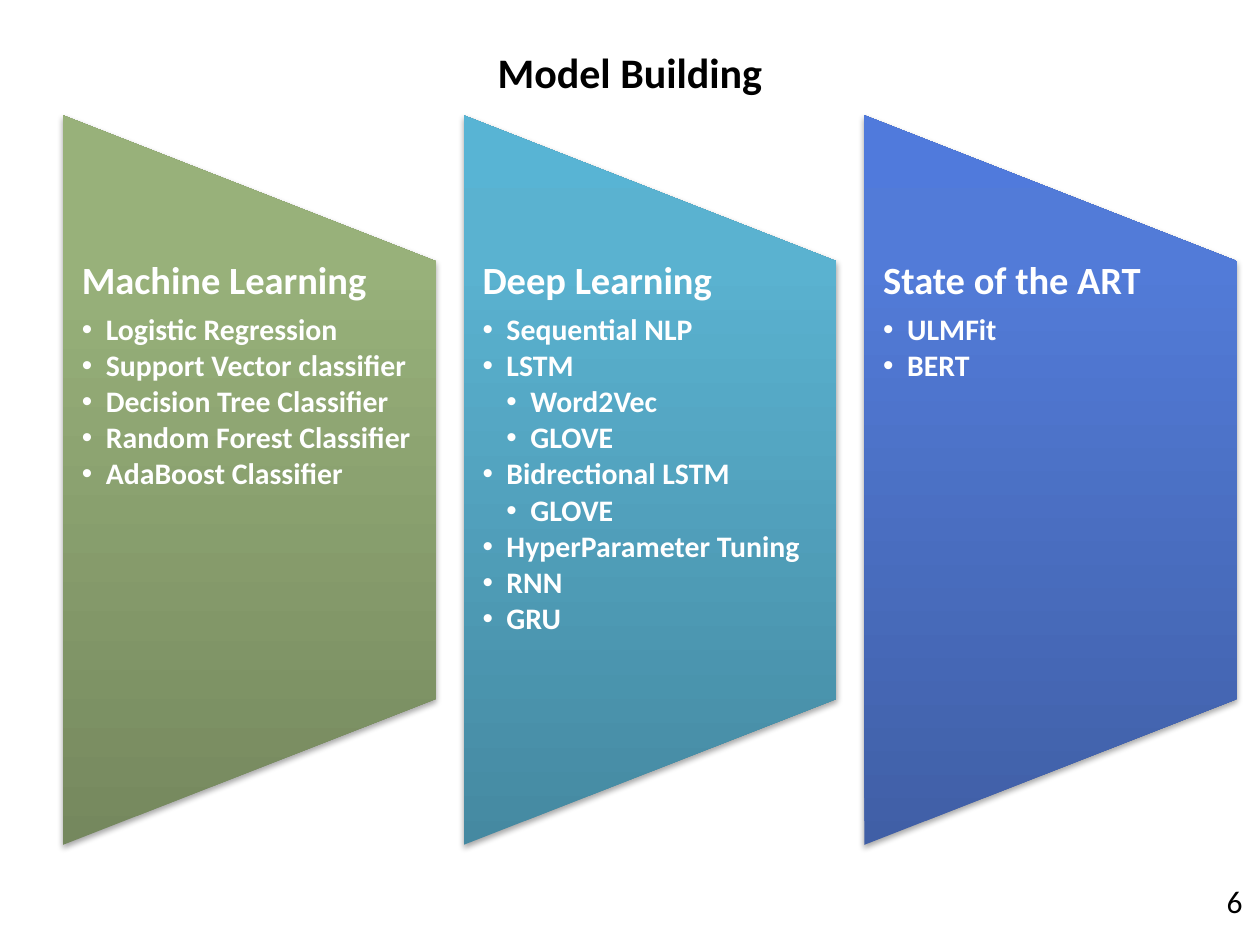
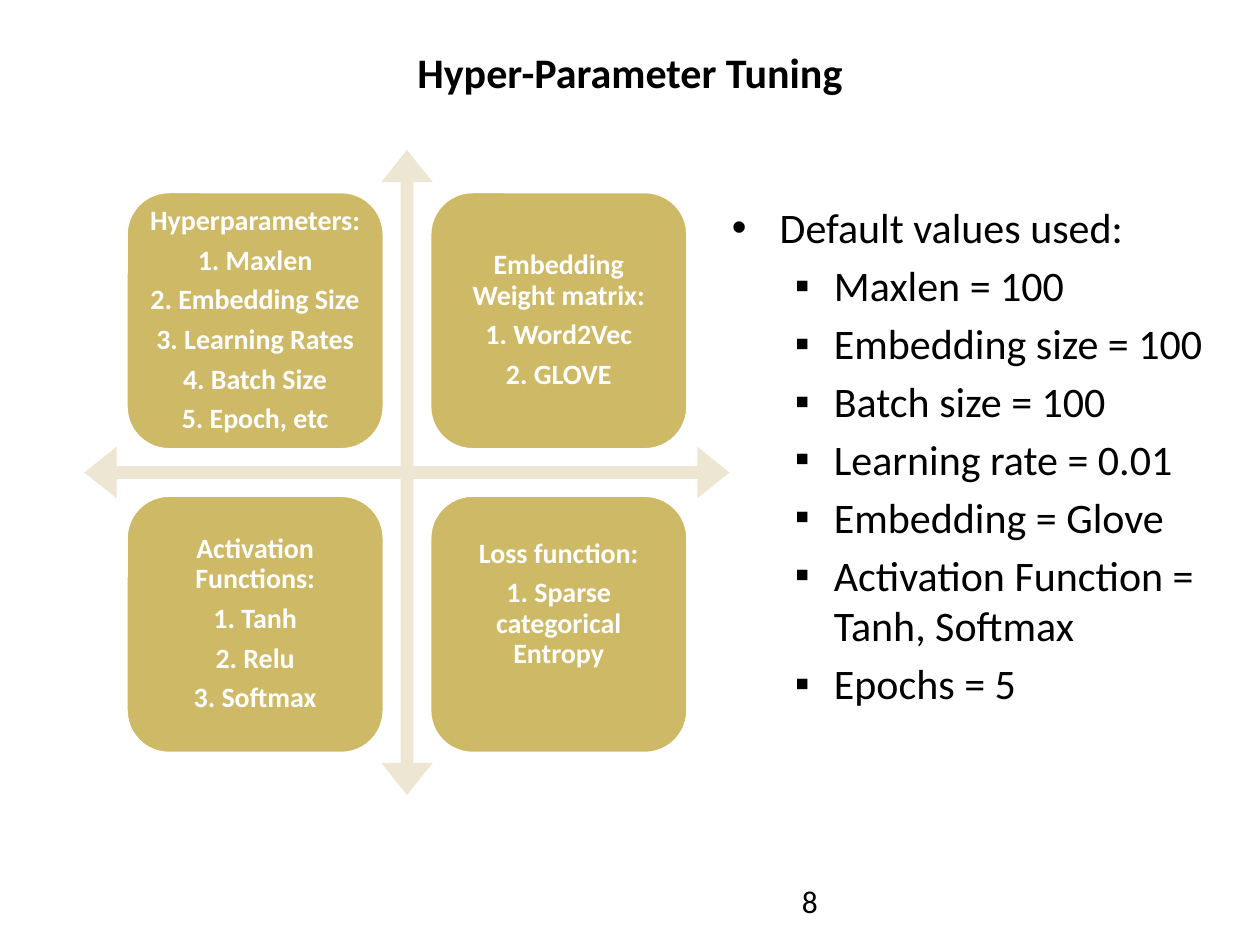
from pptx import Presentation
from pptx import oxml as ox
from pptx import util as u
from pptx.dml.color import RGBColor
from pptx.enum import shapes, text

FONT = "Calibri"
INK, WHITE, GOLD, SAND = "000000", "FFFFFF", "CEB966", "EDE6D3"
LEFT, MID, RIGHT = text.PP_ALIGN.LEFT, text.PP_ALIGN.CENTER, text.PP_ALIGN.RIGHT
TOP, CENTRE = text.MSO_ANCHOR.TOP, text.MSO_ANCHOR.MIDDLE
KIND = shapes.MSO_SHAPE
NS = 'xmlns:a="http://schemas.openxmlformats.org/drawingml/2006/main"'


def rgb(code):
    return RGBColor.from_string(code)


class Deck:
    """Holds the style, a grid of 100 columns by 75 rows and the current slide."""

    def __init__(self):
        self.prs = Presentation()
        self.prs.slide_width, self.prs.slide_height = u.Inches(10), u.Inches(7.5)
        self.cell = self.prs.slide_width / 100
        self.slide = None

    def size(self, *cells):
        return [u.Emu(round(c * self.cell)) for c in cells]

    def page(self, title, num, edge):
        self.slide = self.prs.slides.add_slide(self.prs.slide_layouts[6])
        frame = self.box(5, 3, 90, 5.4, anchor=CENTRE)
        self.line(frame, title, 24, bold=True, align=MID)
        frame = self.box(edge - 31.7, 69.5, 31.7, 4)
        self.line(frame, num, 18, align=RIGHT)

    def frame(self, shape, pads, anchor):
        frame = shape.text_frame
        frame.word_wrap = True
        frame.vertical_anchor = anchor
        (frame.margin_left, frame.margin_top,
         frame.margin_right, frame.margin_bottom) = self.size(*pads)
        return frame

    def box(self, x, y, w, h, pads=(1, 0.5, 1, 0.5), anchor=TOP):
        shape = self.slide.shapes.add_textbox(*self.size(x, y, w, h))
        return self.frame(shape, pads, anchor)

    def line(self, frame, words, size, color=INK, bold=False, align=LEFT,
             space=1, before=0, after=0, mark=None, indent=0, hang=0):
        para = frame.paragraphs[0]
        if para.runs:
            para = frame.add_paragraph()
        para.alignment, para.line_spacing = align, space
        para.space_before, para.space_after = u.Pt(before), u.Pt(after)
        for i, part in enumerate(words.split("\n")):
            if i:
                para.add_line_break()
            run = para.add_run()
            run.text = part
            run.font.name, run.font.size, run.font.bold = FONT, u.Pt(size), bold
            run.font.color.rgb = rgb(color)
        if mark:
            props = para._p.get_or_add_pPr()
            left, back = self.size(indent, -hang)
            props.set("marL", str(left))
            props.set("indent", str(back))
            props.append(ox.parse_xml(f'<a:buFont {NS} typeface="Arial"/>'))
            props.append(ox.parse_xml(f'<a:buChar {NS} char="{mark}"/>'))

    def shape(self, kind, x, y, w, h, fill=None, edge=None, adj=()):
        shape = self.slide.shapes.add_shape(kind, *self.size(x, y, w, h))
        shape.shadow.inherit = False
        for i, share in enumerate(adj):
            shape.adjustments[i] = share
        if fill:
            shape.fill.solid()
            shape.fill.fore_color.rgb = rgb(fill)
        if edge:
            shape.line.color.rgb = rgb(edge)
            shape.line.width = u.Pt(2)
        else:
            shape.line.fill.background()
        return shape

    def panel(self, x, y, w, h, shades):
        shape = self.shape(KIND.FLOWCHART_MANUAL_OPERATION,
                           x + (w - h) / 2, y + (h - w) / 2, h, w)
        shape.rotation = 270
        stops = "".join(f'<a:gs pos="{pos}000"><a:srgbClr val="{shade}"/></a:gs>'
                        for pos, shade in zip((0, 80, 100), shades))
        props = shape._element.spPr
        props.insert(2, ox.parse_xml(
            f'<a:gradFill {NS} rotWithShape="0"><a:gsLst>{stops}</a:gsLst>'
            '<a:lin ang="16200000" scaled="0"/></a:gradFill>'))
        props.find(ox.ns.qn("a:effectLst")).append(ox.parse_xml(
            f'<a:outerShdw {NS} blurRad="40000" dist="23000" dir="5400000" '
            'rotWithShape="0"><a:srgbClr val="000000"><a:alpha val="35000"/>'
            '</a:srgbClr></a:outerShdw>'))

    def model(self, x, head, items, shades):
        self.panel(x, 9.15, 29.6, 57.9, shades)
        frame = self.box(x, 20.7, 29.6, 34.7, pads=(1.5, 0, 1.5, 0))
        look = dict(color=WHITE, bold=True, space=0.9)
        self.line(frame, head, 22, after=7, **look)
        for level, item in items:
            self.line(frame, item, 17, after=2.3, mark="•",
                      indent=1.9 * level, hang=1.9, **look)

    def card(self, x, y, lines, lift=0):
        shape = self.shape(KIND.ROUNDED_RECTANGLE, x, y, 20.5, 20.5, GOLD, WHITE)
        frame = self.frame(shape, (0.7, 0.7, 0.7, 0.7 + lift), CENTRE)
        for words in lines:
            self.line(frame, words, 16, WHITE, True, MID, 0.9, after=5.4)


MODELS = [
    ("Machine Learning",
     [(1, "Logistic Regression"), (1, "Support Vector classifier"),
      (1, "Decision Tree Classifier"), (1, "Random Forest Classifier"),
      (1, "AdaBoost Classifier")],
     ("75885E", "98B17A", "99B379")),
    ("Deep Learning",
     [(1, "Sequential NLP"), (1, "LSTM"), (2, "Word2Vec"), (2, "GLOVE"),
      (1, "Bidrectional LSTM"), (2, "GLOVE"), (1, "HyperParameter Tuning"),
      (1, "RNN"), (1, "GRU")],
     ("4589A1", "5AB2D0", "58B4D4")),
    ("State of the ART",
     [(1, "ULMFit"), (1, "BERT")],
     ("405FA6", "527BD8", "507ADC")),
]

CARDS = [
    (["Hyperparameters:", "1. Maxlen", "2. Embedding Size",
      "3. Learning Rates", "4. Batch Size", "5. Epoch, etc"], 0),
    (["Embedding\nWeight matrix:", "1. Word2Vec", "2. GLOVE"], 0),
    (["Activation Functions:", "1. Tanh", "2. Relu", "3. Softmax"], 0),
    (["Loss function:", "1. Sparse categorical Entropy"], 3.2),
]

VALUES = ["Maxlen = 100", "Embedding size = 100", "Batch size = 100",
          "Learning rate = 0.01", "Embedding = Glove",
          "Activation Function = Tanh, Softmax", "Epochs = 5"]


def main():
    deck = Deck()

    deck.page("Model Building", "6", 99.6)
    for i, model in enumerate(MODELS):
        deck.model(5 + 31.8 * i, *model)

    deck.page("Hyper-Parameter Tuning", "8", 65.9)
    frame = deck.box(57.1, 15.5, 42.9, 49.5)
    deck.line(frame, "Default values used:", 24, before=4.3,
              mark="•", indent=3.8, hang=3.8)
    for value in VALUES:
        deck.line(frame, value, 24, before=4.3, mark="▪", indent=8.1, hang=3.1)
    deck.shape(KIND.QUAD_ARROW, 6.7, 11.9, 51.2, 51.2, SAND, adj=(0.02, 0.04, 0.05))
    for i, (lines, lift) in enumerate(CARDS):
        row, col = divmod(i, 2)
        deck.card(10 + 24.1 * col, 15.2 + 24.1 * row, lines, lift)

    deck.prs.save("out.pptx")


if __name__ == "__main__":
    main()
